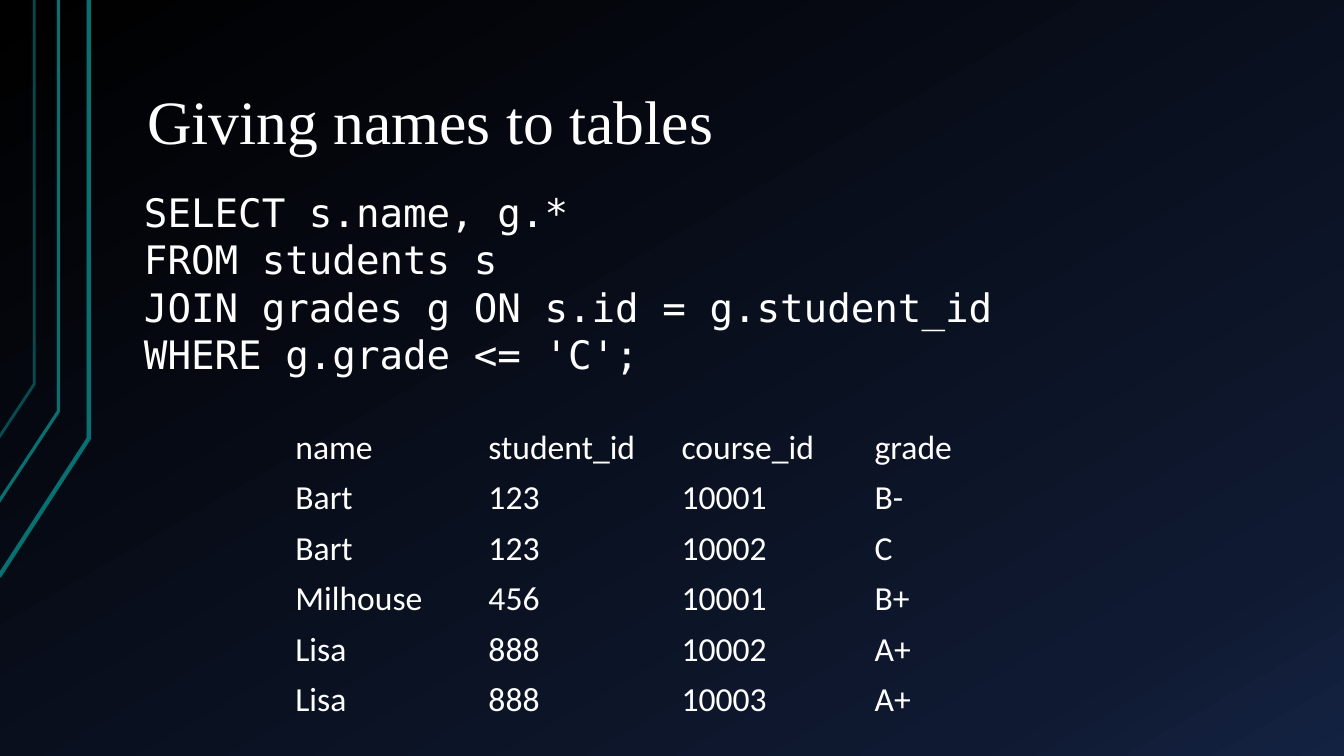
"""Build the slide on naming tables in SQL."""
from copy import deepcopy
from dataclasses import dataclass

from lxml import etree
from pptx import Presentation
from pptx import util as u
from pptx.dml.color import RGBColor
from pptx.enum import text
from pptx.oxml import ns


@dataclass(frozen=True)
class Theme:
    """Colours, fonts and type sizes."""
    ink: str = "FFFFFF"
    accent: str = "007373"
    backdrop: tuple = ((0, "000000"), (0.85, "0F1931"), (1, "142242"))
    title: tuple = ("Times New Roman", 44)
    code: tuple = ("DejaVu Sans Mono", 28)
    table: tuple = ("Calibri", 24)
    no_grid: str = "{2D5ABB26-0587-4C30-8999-92F81FD0307C}"


THEME = Theme()
RAILS = (
    (((-0.01, 5.72), (0.88, 4.35), (0.88, 0)), 3, 100),
    (((-0.02, 4.99), (0.58, 4.08), (0.58, 0)), 2.25, 100),
    (((-0.01, 4.34), (0.34, 3.81), (0.34, 0)), 2, 65),
)
QUERY = (
    "SELECT s.name, g.*",
    "FROM students s",
    "JOIN grades g ON s.id = g.student_id",
    "WHERE g.grade <= 'C';",
)
RESULT = (
    ("name", "student_id", "course_id", "grade"),
    ("Bart", "123", "10001", "B-"),
    ("Bart", "123", "10002", "C"),
    ("Milhouse", "456", "10001", "B+"),
    ("Lisa", "888", "10002", "A+"),
    ("Lisa", "888", "10003", "A+"),
)


def set_all(obj, values):
    """Set each named attribute of an object."""
    for name, value in values.items():
        setattr(obj, name, value)


def write(p, words, style):
    """Add a run in the given font and size."""
    r = p.add_run()
    r.text = words
    set_all(r.font, {"name": style[0], "size": u.Pt(style[1])})
    r.font.color.rgb = RGBColor.from_string(THEME.ink)


def paint_background(s):
    """Fill the slide with the three-stop gradient."""
    fill = s.background.fill
    fill.gradient()
    fill.gradient_angle = 300
    stops = s.element.find(".//" + ns.qn("a:gsLst"))
    stops.append(deepcopy(stops[-1]))
    for stop, (position, color) in zip(fill.gradient_stops, THEME.backdrop):
        stop.position = position
        stop.color.rgb = RGBColor.from_string(color)


def draw_rails(s):
    """Draw the bent lines on the left edge."""
    for points, weight, opacity in RAILS:
        start, *rest = [(u.Inches(x), u.Inches(y)) for x, y in points]
        path = s.shapes.build_freeform(*start)
        path.add_line_segments(rest, close=False)
        sp = path.convert_to_shape()
        sp.shadow.inherit = False
        sp.fill.background()
        sp.line.width = u.Pt(weight)
        sp.line.color.rgb = RGBColor.from_string(THEME.accent)
        if opacity < 100:
            color = sp.element.find(".//" + ns.qn("a:ln")).find(".//" + ns.qn("a:srgbClr"))
            etree.SubElement(color, ns.qn("a:alpha")).set("val", str(opacity * 1000))


def add_text(s, box, lines, style, frame, spacing):
    """Place lines of text in a box."""
    tf = s.shapes.add_textbox(*map(u.Inches, box)).text_frame
    set_all(tf, {"word_wrap": True, **frame})
    for i, line in enumerate(lines):
        p = tf.add_paragraph() if i else tf.paragraphs[0]
        p.line_spacing = spacing
        write(p, line, style)


def add_title(s, box):
    """Place the slide title at the bottom of its box."""
    frame = {
        "vertical_anchor": text.MSO_ANCHOR.BOTTOM,
        "margin_left": u.Inches(0.13), "margin_right": u.Inches(0.13),
        "margin_top": u.Inches(0.07), "margin_bottom": u.Inches(0.07),
    }
    add_text(s, box, ["Giving names to tables"], THEME.title, frame, 0.9)


def add_query(s, box):
    """Place the SQL query."""
    frame = {"auto_size": text.MSO_AUTO_SIZE.SHAPE_TO_FIT_TEXT}
    add_text(s, box, QUERY, THEME.code, frame, u.Pt(34))


def add_result(s, box):
    """Place the result of the query as a plain table."""
    frame = s.shapes.add_table(len(RESULT), len(RESULT[0]), *map(u.Inches, box))
    table = frame.table
    set_all(table, {"first_row": False, "horz_banding": False})
    frame.element.find(".//" + ns.qn("a:tableStyleId")).text = THEME.no_grid
    for i, row in enumerate(RESULT):
        for j, words in enumerate(row):
            cell = table.cell(i, j)
            cell.fill.background()
            cell.vertical_anchor = text.MSO_ANCHOR.MIDDLE
            write(cell.text_frame.paragraphs[0], words, THEME.table)


def main():
    """Build and save the presentation."""
    prs = Presentation()
    set_all(prs, {"slide_width": u.Inches(13.33), "slide_height": u.Inches(7.5)})
    s = prs.slides.add_slide(prs.slide_layouts[6])
    paint_background(s)
    draw_rails(s)
    add_title(s, (1.33, 0.3, 11.33, 1.34))
    add_query(s, (1.33, 1.81, 11.33, 1.99))
    add_result(s, (2.83, 4.19, 7.66, 3))
    prs.save("out.pptx")


if __name__ == "__main__":
    main()
